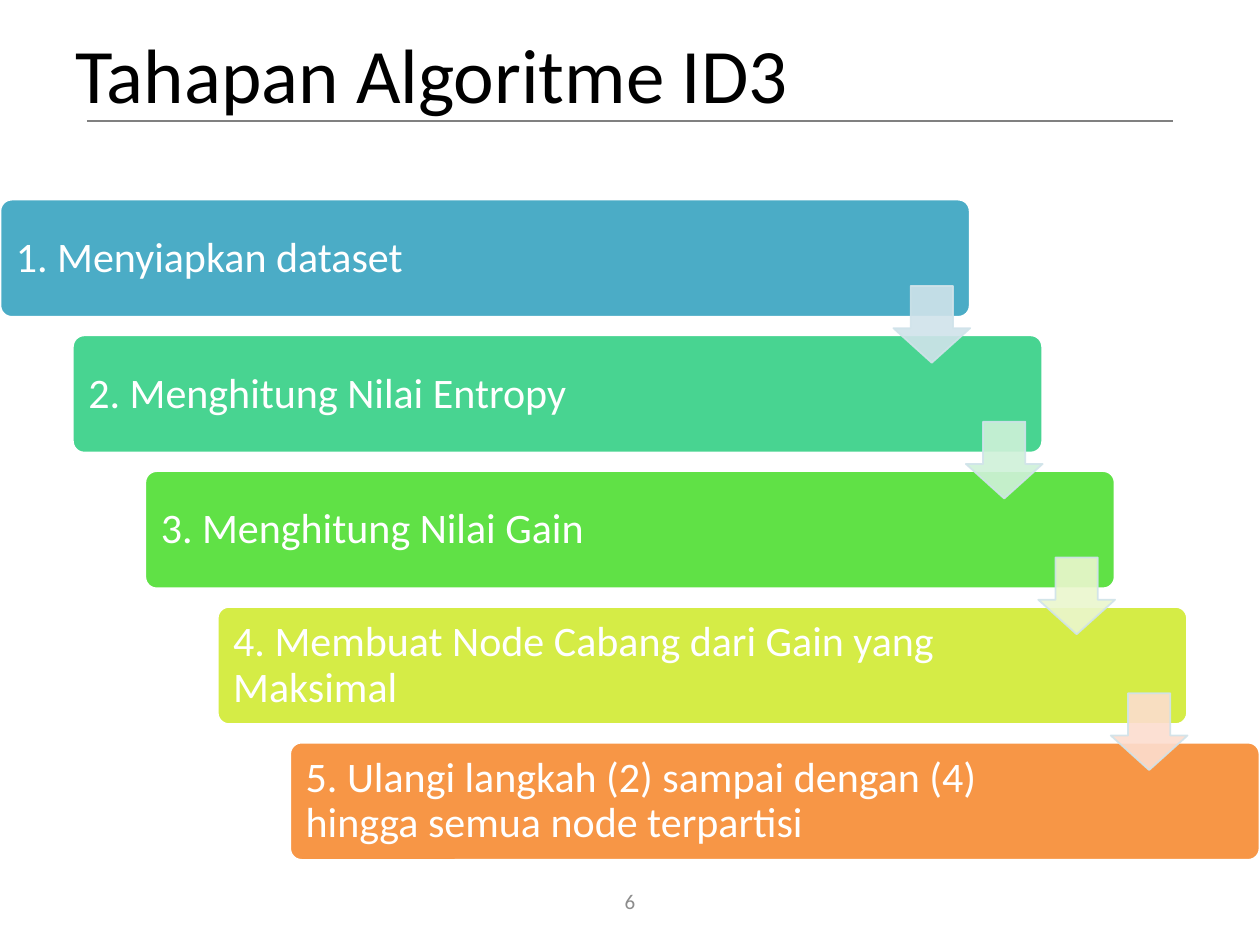
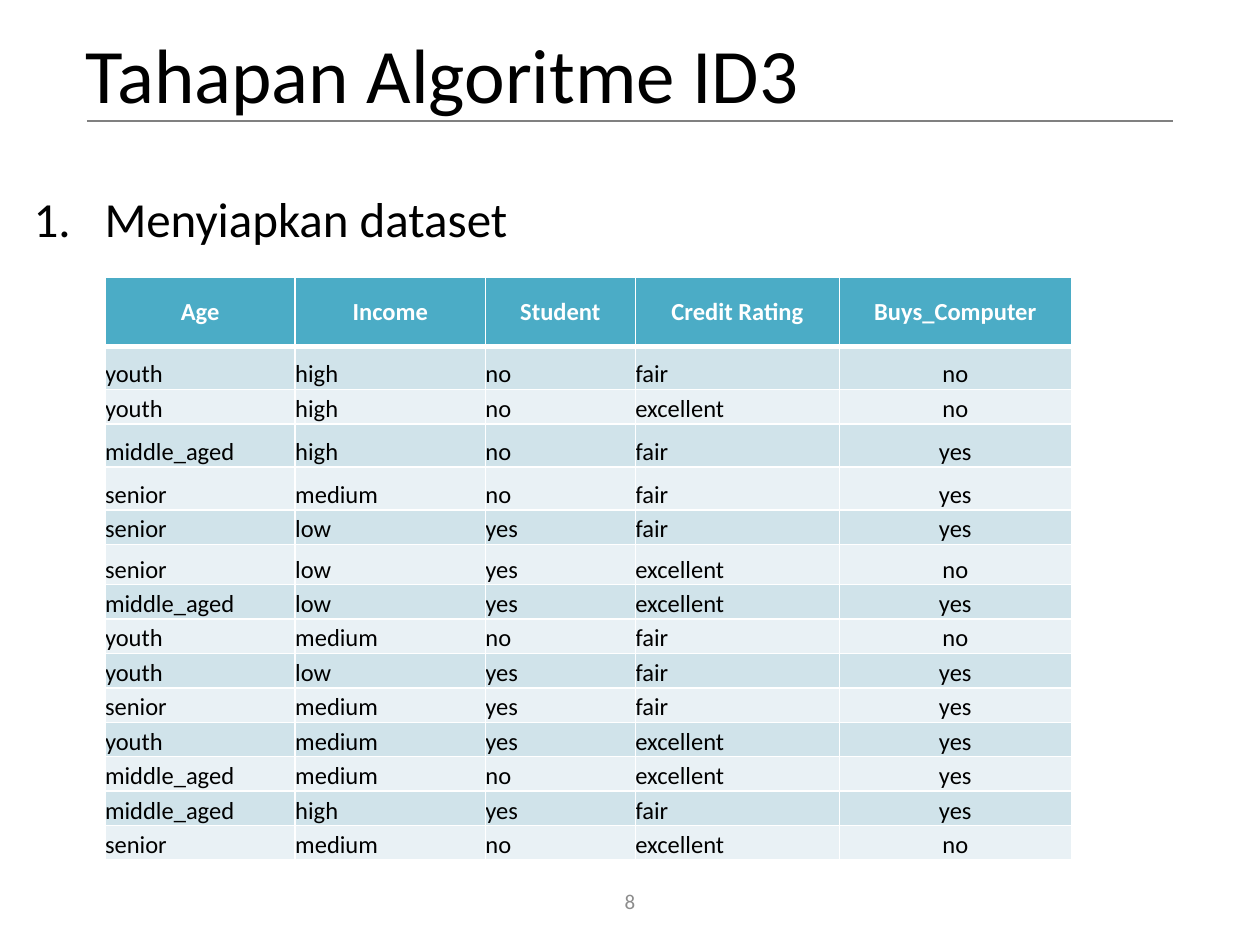
"""Build two slides on the stages of the ID3 algorithm."""
from dataclasses import dataclass

from lxml import etree
from pptx import Presentation
from pptx.dml.color import RGBColor
from pptx.enum.shapes import MSO_CONNECTOR, MSO_SHAPE
from pptx.enum.text import MSO_ANCHOR, PP_ALIGN
from pptx.oxml.ns import qn
from pptx.util import Pt

ROUND, ARROW = MSO_SHAPE.ROUNDED_RECTANGLE, MSO_SHAPE.DOWN_ARROW
LINE = MSO_CONNECTOR.STRAIGHT
TOP, MIDDLE, BOTTOM = MSO_ANCHOR.TOP, MSO_ANCHOR.MIDDLE, MSO_ANCHOR.BOTTOM
LEFT, CENTER = PP_ALIGN.LEFT, PP_ALIGN.CENTER

FONT = "Calibri"
TITLE = "Tahapan Algoritme ID3"
COLORS = {
    "text": "000000", "white": "FFFFFF", "rule": "808080", "page": "8C8C8C",
    "teal": "4BACC6", "mint": "48D491", "green": "60E146",
    "lime": "D5EC46", "orange": "F79646",
    "pale teal": "D0E3EA", "pale mint": "CFF1D9",
    "pale lime": "EBF7CE", "pale orange": "FCDDCF", "faint teal": "E9F1F5",
}


@dataclass
class Box:
    left: float
    top: float
    width: float
    height: float

    def lengths(self) -> tuple:
        return Pt(self.left), Pt(self.top), Pt(self.width), Pt(self.height)


@dataclass
class Style:
    size: float
    color: str
    align: PP_ALIGN = LEFT
    anchor: MSO_ANCHOR = MIDDLE
    bold: bool = False
    spacing: float = 1.0


@dataclass
class Step:
    text: str
    color: str
    arrow: str = ""


HEADING = Style(44, "text", spacing=0.9)
NUMBER = Style(12, "page", CENTER)
LABEL = Style(24, "white", spacing=0.9)
ITEM = Style(28, "text", anchor=TOP, spacing=0.9)
HEAD = Style(14, "white", CENTER, bold=True)
CELL = Style(14, "text", anchor=BOTTOM)
ANSWER = Style(14, "text", CENTER, BOTTOM)

STEPS = [
    Step("1. Menyiapkan dataset", "teal", "pale teal"),
    Step("2. Menghitung Nilai Entropy", "mint", "pale mint"),
    Step("3. Menghitung Nilai Gain", "green", "pale lime"),
    Step("4. Membuat Node Cabang dari Gain yang Maksimal", "lime", "pale orange"),
    Step("5. Ulangi langkah (2) sampai dengan (4) hingga semua node terpartisi", "orange"),
]
BAR = Box(0, 113.8, 554.4, 67.5)
STEP_X, STEP_Y = 41.4, 77.58

DATA = [
    ("Age", "Income", "Student", "Credit Rating", "Buys_Computer"),
    ("youth", "high", "no", "fair", "no"),
    ("youth", "high", "no", "excellent", "no"),
    ("middle_aged", "high", "no", "fair", "yes"),
    ("senior", "medium", "no", "fair", "yes"),
    ("senior", "low", "yes", "fair", "yes"),
    ("senior", "low", "yes", "excellent", "no"),
    ("middle_aged", "low", "yes", "excellent", "yes"),
    ("youth", "medium", "no", "fair", "no"),
    ("youth", "low", "yes", "fair", "yes"),
    ("senior", "medium", "yes", "fair", "yes"),
    ("youth", "medium", "yes", "excellent", "yes"),
    ("middle_aged", "medium", "no", "excellent", "yes"),
    ("middle_aged", "high", "yes", "fair", "yes"),
    ("senior", "medium", "no", "excellent", "no"),
]
WIDTHS = [108.7, 108.7, 85.7, 116.6, 132.5]
HEIGHTS = [39.4, 24.6, 19.7, 24.6, 24.6, 19.7, 23] + [19.7] * 8


def rgb(name: str) -> RGBColor:
    return RGBColor.from_string(COLORS[name])


def write(frame, text: str, style: Style) -> None:
    frame.text = text
    frame.vertical_anchor = style.anchor
    para = frame.paragraphs[0]
    para.alignment = style.align
    para.line_spacing = style.spacing
    font = para.runs[0].font
    font.name, font.size, font.bold = FONT, Pt(style.size), style.bold
    font.color.rgb = rgb(style.color)


def add_text(slide, box: Box, text: str, style: Style):
    frame = slide.shapes.add_textbox(*box.lengths()).text_frame
    frame.word_wrap = True
    write(frame, text, style)
    return frame


def add_shape(slide, kind: MSO_SHAPE, box: Box, fill: str, line: str, width: float):
    shape = slide.shapes.add_shape(kind, *box.lengths())
    shape.shadow.inherit = False
    shape.fill.solid()
    shape.fill.fore_color.rgb = rgb(fill)
    shape.line.color.rgb = rgb(line)
    shape.line.width = Pt(width)
    return shape


def add_base(deck, page: int, left: float):
    slide = deck.slides.add_slide(deck.slide_layouts[6])
    add_text(slide, Box(279, 500.4, 162, 28.8), str(page), NUMBER)
    rule = slide.shapes.add_connector(LINE, Pt(49.7), Pt(69), Pt(670.3), Pt(69))
    rule.line.color.rgb = rgb("rule")
    rule.line.width = Pt(1)
    etree.SubElement(rule.element.spPr, qn("a:effectLst"))
    add_text(slide, Box(left, 0, 648, 90), TITLE, HEADING)
    return slide


def add_bar(slide, index: int, step: Step) -> None:
    left, top = BAR.left + index * STEP_X, BAR.top + index * STEP_Y
    box = Box(left, top, BAR.width, BAR.height)
    bar = add_shape(slide, ROUND, box, step.color, "white", 1.5)
    bar.adjustments[0] = 0.1
    width = 465 if index else 473
    frame = add_text(slide, Box(left + 2, top + 2, width, 64), step.text, LABEL)
    frame.margin_top = frame.margin_bottom = Pt(7.2)


def add_arrow(slide, index: int, step: Step) -> None:
    box = Box(510.5 + index * STEP_X, 163.4 + index * STEP_Y, 43.9, 43.9)
    arrow = add_shape(slide, ARROW, box, step.arrow, "pale teal", 1)
    arrow.adjustments[0], arrow.adjustments[1] = 0.55, 0.45
    for color in arrow.element.spPr.iter(qn("a:srgbClr")):
        etree.SubElement(color, qn("a:alpha"), val="90000")


def add_edge(cell, side: str, width: float) -> None:
    props = cell._tc.get_or_add_tcPr()
    edge = etree.SubElement(props, qn(f"a:ln{side}"), w=str(Pt(width)))
    fill = etree.SubElement(edge, qn("a:solidFill"))
    etree.SubElement(fill, qn("a:srgbClr"), val=COLORS["white"])


def fill_cell(cell, text: str, row: int, col: int) -> None:
    cell.margin_left = cell.margin_right = cell.margin_top = cell.margin_bottom = 0
    style = HEAD if row == 0 else ANSWER if col == len(WIDTHS) - 1 else CELL
    write(cell.text_frame, text, style)
    cell.vertical_anchor = style.anchor
    edges = {"L": 1, "R": 1, "T": 3 if row == 1 else 1, "B": 3 if row == 0 else 1}
    for side, width in edges.items():
        add_edge(cell, side, width)
    cell.fill.solid()
    band = "pale teal" if row % 2 else "faint teal"
    cell.fill.fore_color.rgb = rgb(band if row else "teal")


def add_data(slide) -> None:
    box = Box(60, 158.6, sum(WIDTHS), sum(HEIGHTS))
    table = slide.shapes.add_table(len(DATA), len(WIDTHS), *box.lengths()).table
    for col, width in zip(table.columns, WIDTHS):
        col.width = Pt(width)
    for row, height in zip(table.rows, HEIGHTS):
        row.height = Pt(height)
    for row, texts in enumerate(DATA):
        for col, text in enumerate(texts):
            fill_cell(table.cell(row, col), text, row, col)


def add_item(slide, text: str) -> None:
    para = add_text(slide, Box(12.2, 108, 648, 356.4), text, ITEM).paragraphs[0]
    para.space_before = Pt(10)
    props = para._p.get_or_add_pPr()
    props.set("marL", str(Pt(40.5)))
    props.set("indent", str(Pt(-40.5)))
    etree.SubElement(props, qn("a:buFont"), typeface=FONT)
    etree.SubElement(props, qn("a:buAutoNum"), type="arabicPeriod")


def main() -> None:
    deck = Presentation()
    deck.slide_width, deck.slide_height = Pt(720), Pt(540)

    stages = add_base(deck, 6, 36)
    for index, step in enumerate(STEPS):
        add_bar(stages, index, step)
    for index, step in enumerate(STEPS[:-1]):
        add_arrow(stages, index, step)

    dataset = add_base(deck, 8, 42)
    add_item(dataset, "Menyiapkan dataset")
    add_data(dataset)
    deck.save("out.pptx")


if __name__ == "__main__":
    main()
